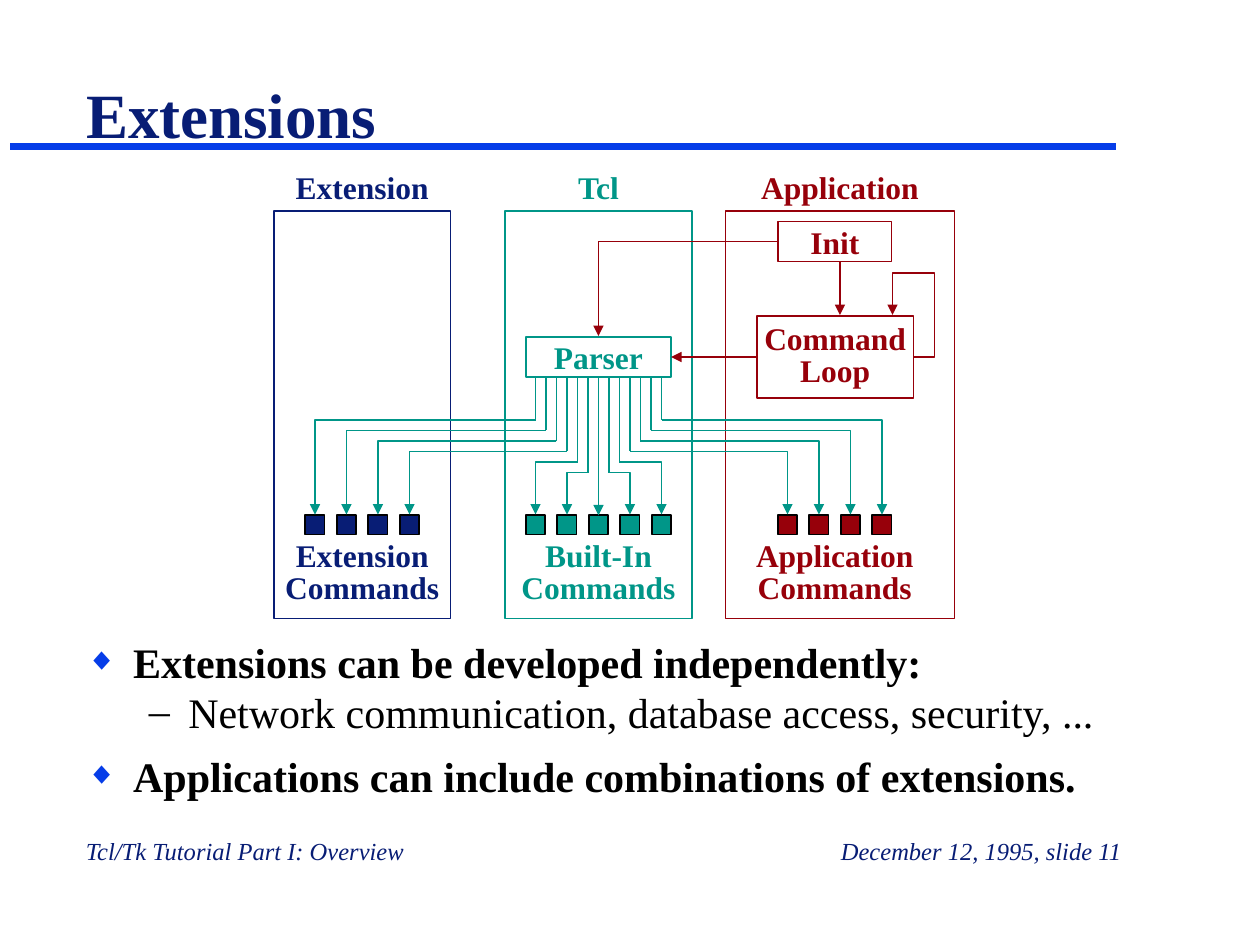
from dataclasses import dataclass

from pptx import Presentation
from pptx.dml.color import RGBColor
from pptx.enum.shapes import MSO_CONNECTOR, MSO_SHAPE
from pptx.enum.text import MSO_ANCHOR, MSO_AUTO_SIZE, PP_ALIGN
from pptx.oxml.ns import qn
from pptx.oxml.xmlchemy import OxmlElement
from pptx.util import Pt

LEFT, CENTER, RIGHT = PP_ALIGN.LEFT, PP_ALIGN.CENTER, PP_ALIGN.RIGHT
TOP, MIDDLE, BOTTOM = MSO_ANCHOR.TOP, MSO_ANCHOR.MIDDLE, MSO_ANCHOR.BOTTOM
NO_AUTOFIT = MSO_AUTO_SIZE.NONE
RECTANGLE = MSO_SHAPE.RECTANGLE
STRAIGHT = MSO_CONNECTOR.STRAIGHT
SITE_TOP, SITE_LEFT, SITE_BOTTOM, SITE_RIGHT = range(4)


@dataclass(frozen=True)
class Theme:
    font: str = "Times New Roman"
    navy: str = "081D75"
    blue: str = "063DE8"
    teal: str = "009688"
    red: str = "97000A"
    black: str = "000000"
    title_size: int = 36
    body_size: int = 24
    label_size: int = 18
    footer_size: int = 14
    tight: float = 0.85


def append_xml(parent, tag, **attributes):
    child = OxmlElement(tag)
    for name, value in attributes.items():
        child.set(name, value)
    parent.append(child)
    return child


class SlideBuilder:
    def __init__(self, slide, theme):
        self.slide = slide
        self.theme = theme

    def fill_frame(self, frame, text, size, color, align=LEFT, anchor=TOP,
                   bold=False, italic=False, spacing=1.0):
        frame.text = text
        frame.vertical_anchor = anchor
        for paragraph in frame.paragraphs:
            paragraph.alignment = align
            paragraph.line_spacing = spacing
            for run in paragraph.runs:
                font = run.font
                font.name, font.size = self.theme.font, Pt(size)
                font.bold, font.italic = bold, italic
                font.color.rgb = RGBColor.from_string(color)

    def title(self, text, x, y, width, height):
        title = self.slide.shapes.title
        title.left, title.top = Pt(x), Pt(y)
        title.width, title.height = Pt(width), Pt(height)
        title.text_frame.auto_size = NO_AUTOFIT
        self.fill_frame(title.text_frame, text, self.theme.title_size,
                        self.theme.navy, anchor=BOTTOM, bold=True)

    def text(self, text, x, y, width, height, size, color, **style):
        frame = self.slide.shapes.add_textbox(
            Pt(x), Pt(y), Pt(width), Pt(height)).text_frame
        frame.word_wrap = True
        self.fill_frame(frame, text, size, color, **style)
        return frame

    def label(self, text, center, y, width, height, color):
        self.text(text, center - width / 2, y, width, height,
                  self.theme.label_size, color, align=CENTER, bold=True,
                  spacing=self.theme.tight)

    def bullets(self, items, x, y, width, height):
        theme = self.theme
        frame = self.text("\n".join(text for text, _ in items), x, y, width,
                          height, theme.body_size, theme.black)
        levels = ((27, 27, 7.5, theme.blue, "75000", "◆", True),
                  (58.5, 22.5, 0, theme.black, "100000", "–", False))
        for paragraph, (_, level) in zip(frame.paragraphs, items):
            margin, hang, before, color, scale, symbol, bold = levels[level]
            paragraph.level = level
            paragraph.space_before = Pt(before)
            for run in paragraph.runs:
                run.font.bold = bold
            properties = paragraph._p.get_or_add_pPr()
            properties.set("marL", str(Pt(margin)))
            properties.set("indent", str(-Pt(hang)))
            bullet_color = append_xml(properties, "a:buClr")
            append_xml(bullet_color, "a:srgbClr", val=color)
            append_xml(properties, "a:buSzPct", val=scale)
            append_xml(properties, "a:buFont", typeface=theme.font)
            append_xml(properties, "a:buChar", char=symbol)

    def outline(self, shape, color, weight=1, arrow=False):
        shape.line.color.rgb = RGBColor.from_string(color)
        shape.line.width = Pt(weight)
        if arrow:
            stroke = shape._element.spPr.find(qn("a:ln"))
            append_xml(stroke, "a:tailEnd", type="triangle")

    def box(self, x, y, width, height, line, fill=None, text=""):
        box = self.slide.shapes.add_shape(
            RECTANGLE, Pt(x), Pt(y), Pt(width), Pt(height))
        box.shadow.inherit = False
        if fill:
            box.fill.solid()
            box.fill.fore_color.rgb = RGBColor.from_string(fill)
        else:
            box.fill.background()
        self.outline(box, line)
        if text:
            box.text_frame.word_wrap = False
            self.fill_frame(box.text_frame, text, self.theme.label_size, line,
                            align=CENTER, anchor=MIDDLE, bold=True,
                            spacing=self.theme.tight if "\n" in text else 1.0)
        return box

    def line(self, start, end, color, weight=1, arrow=False):
        connector = self.slide.shapes.add_connector(
            STRAIGHT, *(Pt(value) for value in (*start, *end)))
        self.outline(connector, color, weight, arrow)
        append_xml(connector._element.spPr, "a:effectLst")
        return connector

    def elbow(self, points, color):
        start, *corners = [(Pt(x), Pt(y)) for x, y in points]
        builder = self.slide.shapes.build_freeform(*start)
        builder.add_line_segments(corners, close=False)
        route = builder.convert_to_shape()
        route.shadow.inherit = False
        route.fill.background()
        self.outline(route, color, arrow=True)


def main():
    theme = Theme()
    deck = Presentation()
    deck.slide_width, deck.slide_height = Pt(720), Pt(540)
    page = SlideBuilder(deck.slides.add_slide(deck.slide_layouts[5]), theme)

    page.line((6, 84), (638, 84), theme.blue, weight=4)
    page.title("Extensions", 42, 3, 600, 87)
    for text, x, align in (("Tcl/Tk Tutorial Part I: Overview", 42, LEFT),
                           ("December 12, 1995, slide 11", 305, RIGHT)):
        page.text(text, x, 474, 343, 24, theme.footer_size, theme.navy,
                  align=align, italic=True)
    page.bullets((("Extensions can be developed independently:", 0),
                  ("Network communication, database access, security, ...", 1),
                  ("Applications can include combinations of extensions.", 0)),
                 42, 360, 606, 102)

    step, square, square_top = 18, 11, 294.5
    columns = (
        ("Extension", "Extension Commands", theme.navy, 156.5, 101, 207, 180, 4),
        ("Tcl", "Built-In Commands", theme.teal, 288.5, 107, 342, 306, 5),
        ("Application", "Application Commands", theme.red, 414.5, 131, 477, 450, 4),
    )
    commands = {}
    for name, caption, color, x, width, center, first, count in columns:
        page.box(x, 120.5, width, 233, color)
        page.label(name, center + (3 if name == "Application" else 0),
                   96, 108, 25, color)
        page.label(caption, center, 306, 114, 44, color)
        for target in range(first, first + count * step, step):
            commands[target] = page.box(target - square / 2, square_top, square,
                                        square, theme.black, fill=color)

    parser = page.box(300.5, 192.5, 83, 23, theme.teal, text="Parser")
    page.box(444.5, 126.5, 65, 23, theme.red, text="Init")
    command_loop = page.box(432.5, 180.5, 89.5, 47, theme.red,
                            text="Command\nLoop")

    hub, wire_gap, wire_top, wire_end = 342, 6, 216, 294
    dispatch = page.line((hub, wire_top), (hub, wire_end), theme.teal, arrow=True)
    dispatch.begin_connect(parser, SITE_BOTTOM)
    dispatch.end_connect(commands[hub], SITE_TOP)
    for rank, reach in enumerate((18, 36, 108, 126, 144, 162), start=1):
        bend = 276 - wire_gap * rank
        for side in (-1, 1):
            start, target = hub + side * wire_gap * rank, hub + side * reach
            page.line((start, wire_top), (start, bend), theme.teal)
            page.elbow(((start, bend), (target, bend), (target, wire_end)),
                       theme.teal)

    evaluate = page.line((432, 204), (384, 204), theme.red, arrow=True)
    evaluate.begin_connect(command_loop, SITE_LEFT)
    evaluate.end_connect(parser, SITE_RIGHT)
    page.line((480, 150), (480, 180), theme.red, arrow=True)
    page.elbow(((444, 138), (hub, 138), (hub, 192)), theme.red)
    page.elbow(((522, 204), (534, 204), (534, 156), (510, 156), (510, 180)),
               theme.red)

    deck.save("out.pptx")


if __name__ == "__main__":
    main()
